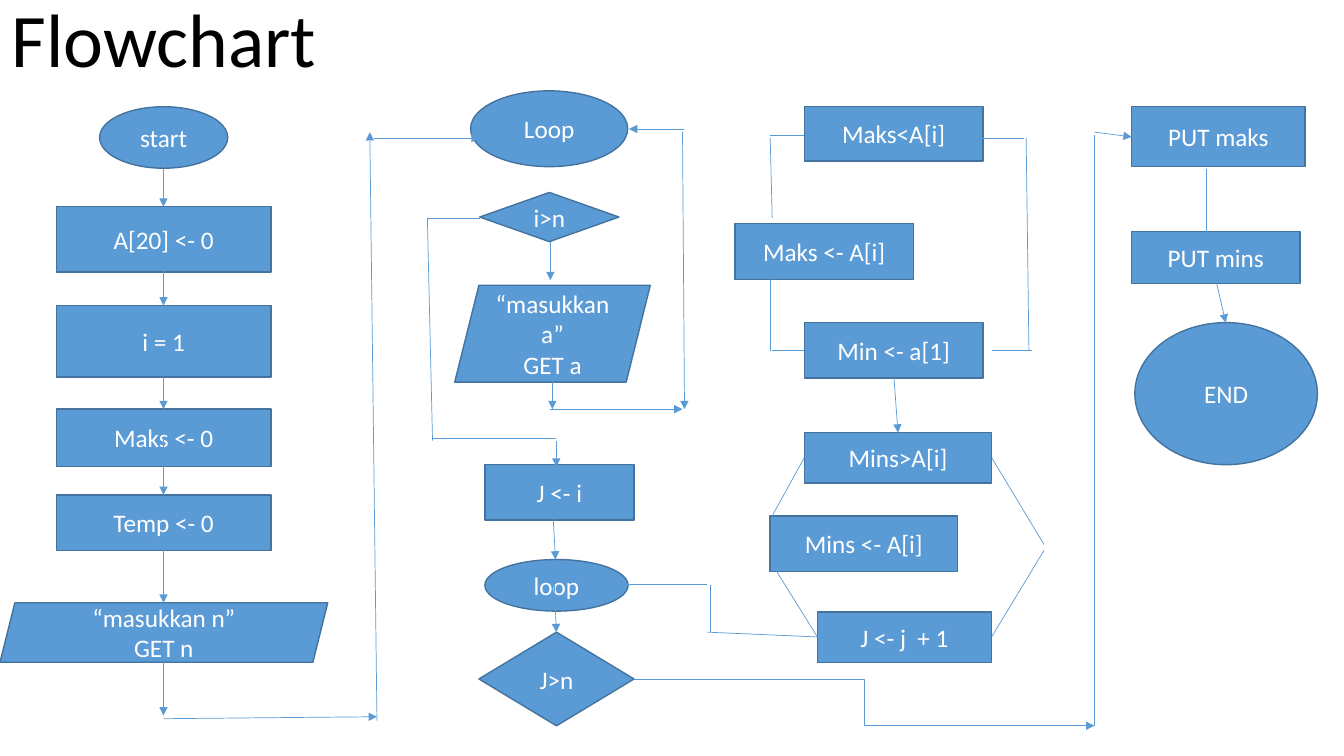
from dataclasses import dataclass

from pptx import Presentation, util as u
from pptx.dml.color import RGBColor
from pptx.enum import shapes as sh, text as tx
from pptx.oxml import ns
from lxml import etree

COLORS = {"fill": "5B9BD5", "outline": "43739E", "arrow": "5B9BD5",
          "title": "000000", "label": "FFFFFF"}
FONT = "Calibri"

PROCESS = sh.MSO_SHAPE.RECTANGLE
TERMINAL = sh.MSO_SHAPE.OVAL
DECISION = sh.MSO_SHAPE.DIAMOND
INPUT = sh.MSO_SHAPE.PARALLELOGRAM
STRAIGHT = sh.MSO_CONNECTOR.STRAIGHT
ELBOW = sh.MSO_CONNECTOR.ELBOW


@dataclass(frozen=True)
class Step:
    """One flowchart symbol; lengths in centimetres."""
    label: str
    symbol: sh.MSO_SHAPE
    left: float
    top: float
    width: float
    height: float


@dataclass(frozen=True)
class Flow:
    """One connecting line; lengths in centimetres."""
    x1: float
    y1: float
    x2: float
    y2: float
    arrow: bool = False
    route: sh.MSO_CONNECTOR = STRAIGHT


INIT_LEFT, INIT_WIDTH = 1.42, 5.41
INIT_CENTER = 4.12
INIT_BOXES = [("A[20] <- 0", 5.21, 1.65), ("i = 1", 7.7, 1.8),
              ("Maks <- 0", 10.31, 1.45), ("Temp <- 0", 12.47, 1.4)]
INIT_ARROWS = [(4.27, 5.21), (6.45, 7.7), (9.5, 10.31),
               (11.05, 12.47), (13.87, 15.19), (16.26, 18.03)]

STEPS = [
    Step("start", TERMINAL, 2.51, 2.69, 3.23, 1.55),
    *(Step(label, PROCESS, INIT_LEFT, top, INIT_WIDTH, height)
      for label, top, height in INIT_BOXES),
    Step("“masukkan n”\nGET n", INPUT, 0, 15.19, 8.26, 1.5),
    # reading loop
    Step("Loop", TERMINAL, 11.86, 2.29, 3.96, 1.91),
    Step("i>n", DECISION, 12.09, 4.85, 3.51, 1.24),
    Step("“masukkan a”\nGET a", INPUT, 11.46, 7.19, 4.93, 2.44),
    Step("J <- i", PROCESS, 12.22, 11.71, 3.76, 1.4),
    Step("loop", TERMINAL, 12.22, 14.1, 3.61, 1.3),
    Step("J>n", DECISION, 12.07, 15.93, 3.91, 2.36),
    # maximum and minimum
    Step("Maks<A[i]", PROCESS, 20.27, 2.69, 4.5, 1.37),
    Step("Maks <- A[i]", PROCESS, 18.52, 5.64, 4.5, 1.4),
    Step("Min <- a[1]", PROCESS, 20.27, 8.13, 4.5, 1.4),
    Step("Mins>A[i]", PROCESS, 20.27, 10.9, 4.72, 1.27),
    Step("Mins <- A[i]", PROCESS, 19.41, 13, 4.72, 1.4),
    Step("J <- j  + 1", PROCESS, 20.6, 15.42, 4.39, 1.27),
    # output
    Step("PUT maks", PROCESS, 28.52, 2.69, 4.37, 1.5),
    Step("PUT mins", PROCESS, 28.52, 5.84, 4.24, 1.3),
    Step("END", TERMINAL, 28.6, 8.13, 4.6, 3.58),
]

FLOWS = [
    *(Flow(INIT_CENTER, start, INIT_CENTER, end, True)
      for start, end in INIT_ARROWS),
    Flow(4.12, 18.11, 9.5, 18.06, True),
    Flow(9.5, 18.16, 9.32, 3.33, True),
    Flow(9.42, 3.48, 12.09, 3.48, True),
    # reading loop
    Flow(13.87, 6.1, 13.87, 7.06, True),
    Flow(13.92, 9.58, 13.92, 10.31, True),
    Flow(13.87, 10.31, 17.2, 10.31, True),
    Flow(17.2, 3.33, 17.25, 10.31, True),
    Flow(17.25, 3.25, 15.85, 3.25, True),
    Flow(12.09, 5.49, 10.77, 5.49),
    Flow(10.77, 5.49, 10.9, 11.1),
    Flow(10.9, 11.05, 14.02, 11.05),
    Flow(14.02, 11.1, 14.02, 11.76, True),
    Flow(13.92, 12.7, 14, 14.1, True),
    Flow(13.97, 14.73, 14.02, 15.93, True),
    # maximum branches
    Flow(20.27, 3.4, 19.41, 3.4),
    Flow(19.41, 3.48, 19.46, 5.49),
    Flow(19.41, 6.78, 19.41, 8.84),
    Flow(19.46, 8.84, 20.27, 8.84),
    Flow(24.18, 3.48, 25.81, 3.48),
    Flow(25.86, 3.48, 25.93, 8.84),
    Flow(26.01, 8.84, 24.99, 8.84),
    Flow(22.53, 9.53, 22.63, 10.9, True),
    # minimum branches
    Flow(20.27, 11.53, 19.46, 13),
    Flow(19.46, 14.22, 20.6, 16.05),
    Flow(24.99, 11.53, 26.31, 13.72),
    Flow(26.31, 13.87, 24.99, 16.05),
    Flow(15.8, 14.73, 17.83, 14.73),
    Flow(17.91, 14.73, 17.91, 15.93),
    Flow(17.83, 15.93, 20.6, 16.05),
    # output
    Flow(15.98, 17.12, 27.58, 18.29, True, ELBOW),
    Flow(27.58, 18.29, 27.58, 3.4),
    Flow(27.58, 3.33, 28.52, 3.45, True),
    Flow(30.4, 4.27, 30.4, 6.1, True),
    Flow(30.66, 7.14, 30.89, 8.13, True),
]


def rgb(role: str) -> RGBColor:
    return RGBColor.from_string(COLORS[role])


def write_text(shape, content: str, *, size: float, color: str,
               anchor=tx.MSO_ANCHOR.MIDDLE, spacing: float = 1.0) -> None:
    frame = shape.text_frame
    frame.word_wrap = True
    frame.auto_size = tx.MSO_AUTO_SIZE.NONE
    frame.vertical_anchor = anchor
    paragraph = frame.paragraphs[0]
    paragraph.text = content
    paragraph.alignment = tx.PP_ALIGN.CENTER
    paragraph.line_spacing = spacing
    for run in paragraph.runs:
        run.font.name = FONT
        run.font.size = u.Pt(size)
        run.font.color.rgb = rgb(color)


def add_title(slide, content: str) -> None:
    title = slide.shapes.title
    title.left, title.top = u.Cm(0), u.Cm(0)
    title.width, title.height = u.Cm(8.26), u.Cm(2.24)
    write_text(title, content, size=54, color="title",
               anchor=tx.MSO_ANCHOR.BOTTOM, spacing=0.9)
    subtitle = slide.placeholders[1].element
    subtitle.getparent().remove(subtitle)


def add_step(slide, step: Step) -> None:
    symbol = slide.shapes.add_shape(
        step.symbol, u.Cm(step.left), u.Cm(step.top),
        u.Cm(step.width), u.Cm(step.height))
    symbol.shadow.inherit = False
    symbol.fill.solid()
    symbol.fill.fore_color.rgb = rgb("fill")
    symbol.line.color.rgb = rgb("outline")
    symbol.line.width = u.Pt(1)
    write_text(symbol, step.label, size=18, color="label")


def add_flow(slide, flow: Flow) -> None:
    link = slide.shapes.add_connector(
        flow.route, u.Cm(flow.x1), u.Cm(flow.y1), u.Cm(flow.x2), u.Cm(flow.y2))
    link.line.color.rgb = rgb("arrow")
    link.line.width = u.Pt(0.5)
    properties = link.element.spPr
    if flow.arrow:
        outline = properties.find(ns.qn("a:ln"))
        etree.SubElement(outline, ns.qn("a:tailEnd"), type="triangle")
    etree.SubElement(properties, ns.qn("a:effectLst"))


def main() -> None:
    deck = Presentation()
    deck.slide_width, deck.slide_height = u.Cm(33.87), u.Cm(19.05)
    slide = deck.slides.add_slide(deck.slide_layouts[0])
    add_title(slide, "Flowchart")
    for step in STEPS:
        add_step(slide, step)
    for flow in FLOWS:
        add_flow(slide, flow)
    deck.save("out.pptx")


if __name__ == "__main__":
    main()
